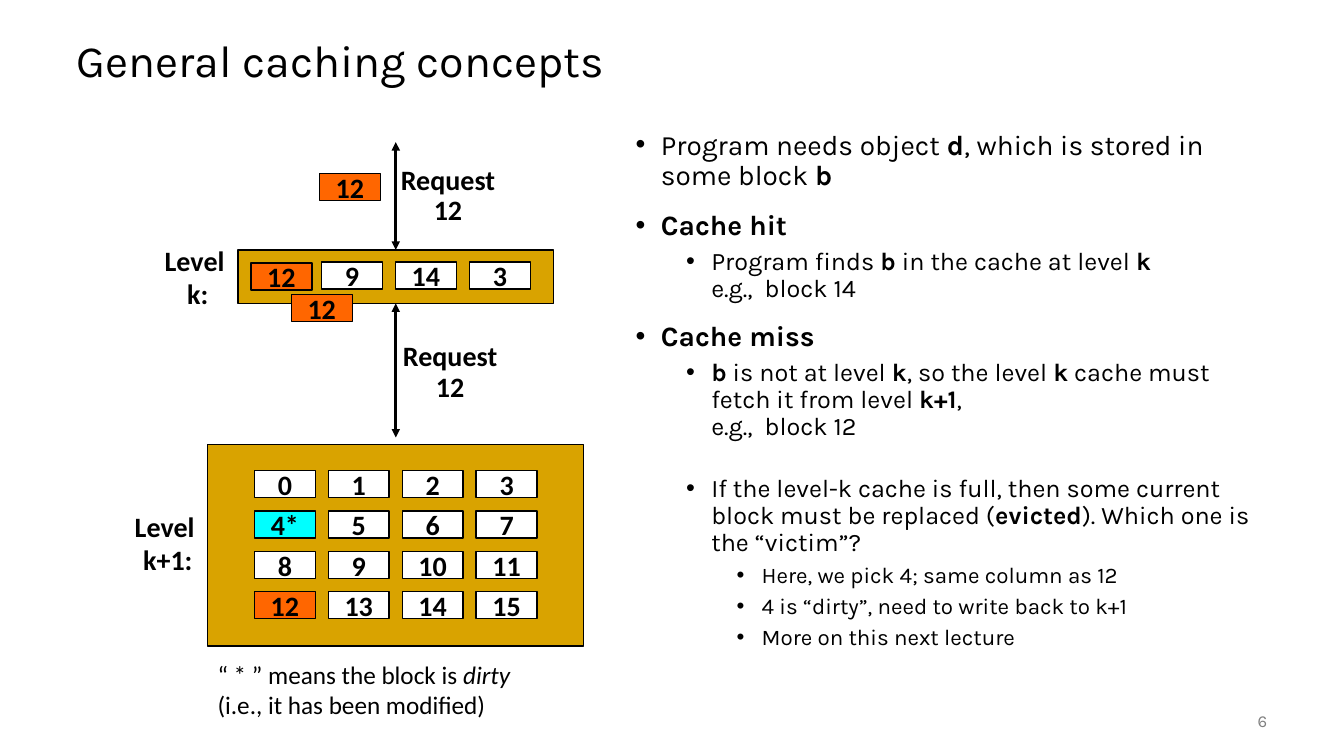
"""Build the slide on general caching concepts: two cache levels beside a bullet list."""
from lxml.etree import SubElement
from pptx import Presentation
from pptx.dml.color import RGBColor
from pptx.enum.shapes import MSO_CONNECTOR, MSO_SHAPE
from pptx.enum.text import MSO_ANCHOR as Anchor, PP_ALIGN as Align
from pptx.oxml.ns import qn
from pptx.util import Pt

COLORS = {"black": "000000", "white": "FFFFFF", "gold": "D9A300",
          "orange": "FF6600", "cyan": "00FFFF", "gray": "808080"}
CELL_WIDTH, CELL_HEIGHT = 43.5, 19.4


def write(paragraph, text, size=20, font="Calibri", color="black", bold=False,
          emphasis="bold", align=Align.LEFT, spacing=1.0, before=0, bullet_level=None):
    """Fill a paragraph; text between bars is emphasized and a newline breaks the line."""
    if bullet_level is not None:
        properties = paragraph._p.get_or_add_pPr()
        properties.set("marL", str(Pt(18 + 36 * bullet_level)))
        properties.set("indent", str(Pt(-18)))
        SubElement(properties, qn("a:buFont"), typeface="Arial")
        SubElement(properties, qn("a:buChar"), char="•")
        paragraph.level = bullet_level
    paragraph.alignment = align
    paragraph.line_spacing = spacing
    paragraph.space_before = Pt(before)
    for index, part in enumerate(text.split("|")):
        for line_number, line in enumerate(part.split("\n")):
            if line_number:
                paragraph.add_line_break()
            if line:
                run = paragraph.add_run()
                run.text = line
                run.font.size = Pt(size)
                run.font.name = font
                run.font.color.rgb = RGBColor.from_string(COLORS[color])
                run.font.bold = bold
                if index % 2:
                    setattr(run.font, emphasis, True)


def add_box(left, top, width, height, fill, text=""):
    """Add an outlined rectangle with an optional bold centred label."""
    box = slide.shapes.add_shape(MSO_SHAPE.RECTANGLE, Pt(left), Pt(top), Pt(width), Pt(height))
    box.shadow.inherit = False
    box.fill.solid()
    box.fill.fore_color.rgb = RGBColor.from_string(COLORS[fill])
    box.line.color.rgb = RGBColor.from_string(COLORS["black"])
    box.line.width = Pt(1)
    if text:
        box.text_frame.word_wrap = False
        box.text_frame.vertical_anchor = Anchor.MIDDLE
        write(box.text_frame.paragraphs[0], text, bold=True, align=Align.CENTER)
    return box


presentation = Presentation()
presentation.slide_width, presentation.slide_height = Pt(960), Pt(540)
slide = presentation.slides.add_slide(presentation.slide_layouts[5])

title = slide.shapes.title
title.left, title.top, title.width, title.height = Pt(47.5), Pt(18), Pt(864), Pt(54)
title.text_frame.vertical_anchor = Anchor.MIDDLE
write(title.text_frame.paragraphs[0], "General caching concepts",
      size=32, font="Karla", spacing=0.9)

bullets = [
    (0, "Program needs object |d|, which is stored in some block |b|", 0),
    (0, "|Cache hit|", 14),
    (1, "Program finds |b| in the cache at level |k|\ne.g.,  block 14", 5),
    (0, "|Cache miss|", 14),
    (1, "|b| is not at level |k|, so the level |k| cache must fetch it from level |k+1|, "
        "\ne.g.,  block 12", 5),
    (1, "If the level-k cache is full, then some current block must be replaced "
        "(|evicted|). Which one is the “victim”?", 24.5),
    (2, "Here, we pick 4; same column as 12", 5),
    (2, "4 is “dirty”, need to write back to k+1", 5),
    (2, "More on this next lecture", 5),
]
body = slide.shapes.add_textbox(Pt(447), Pt(90), Pt(464.5), Pt(396)).text_frame
body.word_wrap = True
for index, (level, text, before) in enumerate(bullets):
    paragraph = body.add_paragraph() if index else body.paragraphs[0]
    write(paragraph, text, size=20 - 2 * level, font="Karla", spacing=0.9,
          before=before, bullet_level=level)

level_k = add_box(170, 178.5, 225.4, 38.2, "gold")
add_box(148.3, 317.5, 268.6, 144, "gold")

level_k_blocks = [
    ("12", 228.2, 123.8, "orange"),
    ("12", 179.3, 187.9, "orange"),
    ("9", 229.7, 187.2, "white"),
    ("14", 282.5, 187.2, "white"),
    ("3", 335.3, 187.2, "white"),
    ("12", 208.1, 210.2, "orange"),
]
for text, left, top, fill in level_k_blocks:
    add_box(left, top, CELL_WIDTH, CELL_HEIGHT, fill, text)

special_blocks = {4: ("4*", "cyan"), 12: ("12", "orange")}
for number in range(16):
    row, column = divmod(number, 4)
    text, fill = special_blocks.get(number, (str(number), "white"))
    add_box(181.7 + 52.8 * column, 336.2 + 28.8 * row, CELL_WIDTH, CELL_HEIGHT, fill, text)

for side, start, end in [(0, 178.5, 101.5), (2, 216.7, 312.5)]:
    arrow = slide.shapes.add_connector(MSO_CONNECTOR.STRAIGHT,
                                       Pt(282.7), Pt(start), Pt(282.7), Pt(end))
    arrow.begin_connect(level_k, side)
    arrow.line.color.rgb = RGBColor.from_string(COLORS["black"])
    arrow.line.width = Pt(2)
    line = arrow.line._get_or_add_ln()
    for tip in ("a:headEnd", "a:tailEnd"):
        SubElement(line, qn(tip), type="triangle")
    SubElement(arrow._element.spPr, qn("a:effectLst"))

labels = [
    (("Request", "12"), 282.2, 115.2, 75.6, 51.1, 3.6, 0.9, Anchor.TOP),
    (("Request", "12"), 283.7, 241.2, 75.6, 51.1, 3.6, 0.9, Anchor.TOP),
    (("Level", " k:"), 110.2, 170, 57.6, 55.4, 7.2, 1.0, Anchor.MIDDLE),
    (("Level ", "k+1:"), 88.6, 360, 62.6, 55.4, 7.2, 1.0, Anchor.MIDDLE),
]
for lines, left, top, width, height, inset, spacing, anchor in labels:
    frame = slide.shapes.add_textbox(Pt(left), Pt(top), Pt(width), Pt(height)).text_frame
    frame.word_wrap = False
    frame.vertical_anchor = anchor
    frame.margin_left = frame.margin_right = Pt(inset)
    frame.margin_top = frame.margin_bottom = Pt(3.6)
    write(frame.paragraphs[0], lines[0], bold=True, align=Align.CENTER, spacing=spacing)
    write(frame.add_paragraph(), lines[1], bold=True, align=Align.CENTER, spacing=spacing)

note = slide.shapes.add_textbox(Pt(148.3), Pt(467.3), Pt(242.6), Pt(51.1)).text_frame
note.word_wrap = True
write(note.paragraphs[0], "“ * ” means the block is |dirty| (i.e., it has been modified)",
      size=18, emphasis="italic")

page_number = slide.shapes.add_textbox(Pt(840.2), Pt(500.4), Pt(72), Pt(28.8)).text_frame
page_number.word_wrap = True
page_number.vertical_anchor = Anchor.MIDDLE
write(page_number.paragraphs[0], "6", size=12, font="Karla", color="gray", align=Align.RIGHT)

presentation.save("out.pptx")
